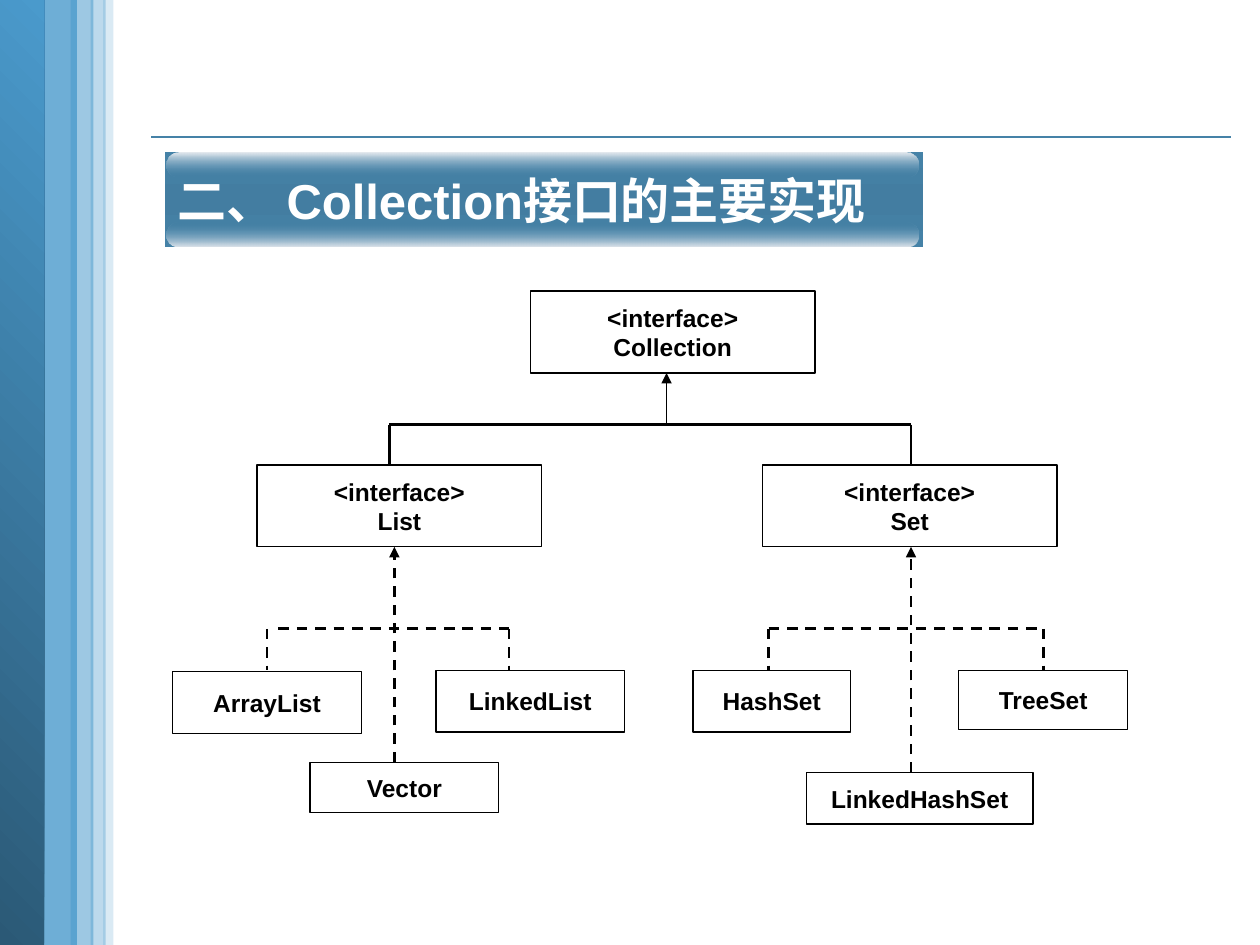
from lxml import etree
from pptx import Presentation
from pptx import util as u
from pptx.dml.color import RGBColor
from pptx.enum import dml, shapes, text
from pptx.oxml import ns

BLACK = RGBColor(0x00, 0x00, 0x00)
WHITE = RGBColor(0xFF, 0xFF, 0xFF)
SKY = RGBColor(0x4A, 0x9A, 0xCC)
NAVY = RGBColor(0x2B, 0x59, 0x76)
STEEL = RGBColor(0x45, 0x82, 0xA7)
STEEL_MIDDLE = RGBColor(0x43, 0x7D, 0xA1)
PALE_TOP = RGBColor(0xEA, 0xED, 0xF1)
PALE_BOTTOM = RGBColor(0xE2, 0xE7, 0xED)

SLIDE_HEIGHT = 540
STRIPES = [(59, 5.8, 20), (40.3, 13, 54), (51.8, 8.6, 37)]
BOXES = [
    ("<interface>\nCollection", 303.1, 166.3, 162.7, 46.8),
    ("<interface>\nList", 146.9, 265.7, 162.7, 46.8),
    ("<interface>\nSet", 435.6, 265.7, 168.5, 46.8),
    ("ArrayList", 98.6, 383.8, 108, 35.3),
    ("LinkedList", 249.1, 383, 108, 35.3),
    ("Vector", 177.1, 435.6, 108, 28.8),
    ("HashSet", 396, 383, 90, 35.3),
    ("TreeSet", 547.9, 383, 96.5, 33.8),
    ("LinkedHashSet", 460.8, 441.4, 129.6, 29.5),
]
SOLID = {"width": u.Pt(1.5)}
THIN = {"width": u.Pt(1)}
DASHED = {"width": u.Pt(1.5), "dash_style": dml.MSO_LINE.DASH}


def apply(target, values):
    for name, value in values.items():
        setattr(target, name, value)


def place(shape, left, top, width, height):
    bounds = {"left": left, "top": top, "width": width, "height": height}
    apply(shape, {name: u.Pt(value) for name, value in bounds.items()})


def add_child(parent, tag, **attributes):
    return etree.SubElement(parent, ns.qn(tag), attributes)


def set_gradient(shape, stops, angle):
    shape.fill.gradient()
    shape.fill.gradient_angle = 360 - angle
    stop_list = shape.element.spPr.find(ns.qn("a:gradFill")).find(ns.qn("a:gsLst"))
    for stop in list(stop_list):
        stop_list.remove(stop)
    for position, color, opacity in stops:
        stop = add_child(stop_list, "a:gs", pos=str(position * 1000))
        color_element = add_child(stop, "a:srgbClr", val=str(color))
        if opacity < 100:
            add_child(color_element, "a:alpha", val=str(opacity * 1000))


def add_plain_shape(slide, kind, left, top, width, height):
    shape = slide.shapes.add_shape(kind, *map(u.Pt, (left, top, width, height)))
    shape.shadow.inherit = False
    shape.line.fill.background()
    return shape


def add_stripe(slide, left, width, opacity):
    stripe = add_plain_shape(
        slide, shapes.MSO_SHAPE.RECTANGLE, left, 0, width, SLIDE_HEIGHT)
    stripe.fill.solid()
    stripe.fill.fore_color.rgb = SKY
    color_element = next(stripe.element.spPr.iter(ns.qn("a:srgbClr")))
    add_child(color_element, "a:alpha", val=str(opacity * 1000))


def add_sidebar(slide):
    add_stripe(slide, 21.6, 22.3, 80)
    edge = add_plain_shape(
        slide, shapes.MSO_SHAPE.RECTANGLE, 0, 0, 25.2, SLIDE_HEIGHT)
    set_gradient(edge, [(0, NAVY, 100), (100, SKY, 100)], 315)
    for left, width, opacity in STRIPES:
        add_stripe(slide, left, width, opacity)


def write_text(shape, content, alignment, font):
    frame = shape.text_frame
    frame.text = content
    apply(frame, {
        "word_wrap": False,
        "auto_size": text.MSO_AUTO_SIZE.NONE,
        "vertical_anchor": text.MSO_ANCHOR.MIDDLE,
    })
    for paragraph in frame.paragraphs:
        paragraph.alignment = alignment
        apply(paragraph.font, {"name": "Arial", "bold": True, "size": font["size"]})
        paragraph.font.color.rgb = font["color"]


def format_title(slide):
    title = slide.shapes.title
    place(title, 94.3, 87.1, 433.4, 54)
    geometry = add_child(title.element.spPr, "a:prstGeom", prst="roundRect")
    adjustments = add_child(geometry, "a:avLst")
    add_child(adjustments, "a:gd", name="adj", fmla="val 17500")
    set_gradient(
        title, [(0, STEEL, 100), (50, STEEL_MIDDLE, 100), (100, STEEL, 100)], 90)
    write_text(title, "二、 Collection接口的主要实现", text.PP_ALIGN.LEFT,
               {"size": u.Pt(28), "color": WHITE})


def add_highlight(slide, top, stops):
    highlight = add_plain_shape(
        slide, shapes.MSO_SHAPE.ROUNDED_RECTANGLE, 95, top, 429.8, 13.7)
    highlight.adjustments[0] = 0.5
    set_gradient(highlight, stops, 90)


def add_box(slide, content, left, top, width, height):
    box = add_plain_shape(
        slide, shapes.MSO_SHAPE.RECTANGLE, left, top, width, height)
    box.fill.background()
    box.line.color.rgb = BLACK
    box.line.width = u.Pt(0.75)
    write_text(box, content, text.PP_ALIGN.CENTER,
               {"size": u.Pt(14), "color": BLACK})


def add_line(slide, start, end, style, color=BLACK, arrow=False):
    line = slide.shapes.add_connector(
        shapes.MSO_CONNECTOR.STRAIGHT, *map(u.Pt, start + end))
    line.line.color.rgb = color
    apply(line.line, style)
    if arrow:
        add_child(line.line._get_or_add_ln(), "a:tailEnd", type="triangle")
    add_child(line.element.spPr, "a:effectLst")


def add_branch(slide, left, right, bar_left, bar_top, child_top, style):
    add_line(slide, (bar_left, bar_top), (right, bar_top), style)
    for x in (left, right):
        add_line(slide, (x, bar_top), (x, child_top), style)


def add_arrow(slide, x, bottom, top, style):
    add_line(slide, (x, bottom), (x, top), style, arrow=True)


def main():
    presentation = Presentation()
    presentation.slide_width = u.Pt(720)
    presentation.slide_height = u.Pt(SLIDE_HEIGHT)
    slide = presentation.slides.add_slide(presentation.slide_layouts[5])

    add_line(slide, (86.4, 78.5), (703.4, 78.5), THIN, color=STEEL)
    add_sidebar(slide)
    format_title(slide)
    add_highlight(slide, 127.4, [(0, STEEL, 0), (100, PALE_BOTTOM, 100)])
    add_highlight(slide, 87.1, [(0, PALE_TOP, 100), (100, STEEL, 0)])

    for box in BOXES:
        add_box(slide, *box)
    add_branch(slide, 222.5, 520.6, 222.5, 242.6, 265.7, SOLID)
    add_branch(slide, 152.6, 290.9, 159.1, 359.3, 383, DASHED)
    add_branch(slide, 439.2, 596.2, 439.2, 359.3, 383, DASHED)
    add_arrow(slide, 380.9, 242.6, 213.1, THIN)
    add_arrow(slide, 225.4, 435.6, 312.5, DASHED)
    add_arrow(slide, 520.6, 441.4, 312.5, DASHED)

    presentation.save("out.pptx")


if __name__ == "__main__":
    main()
